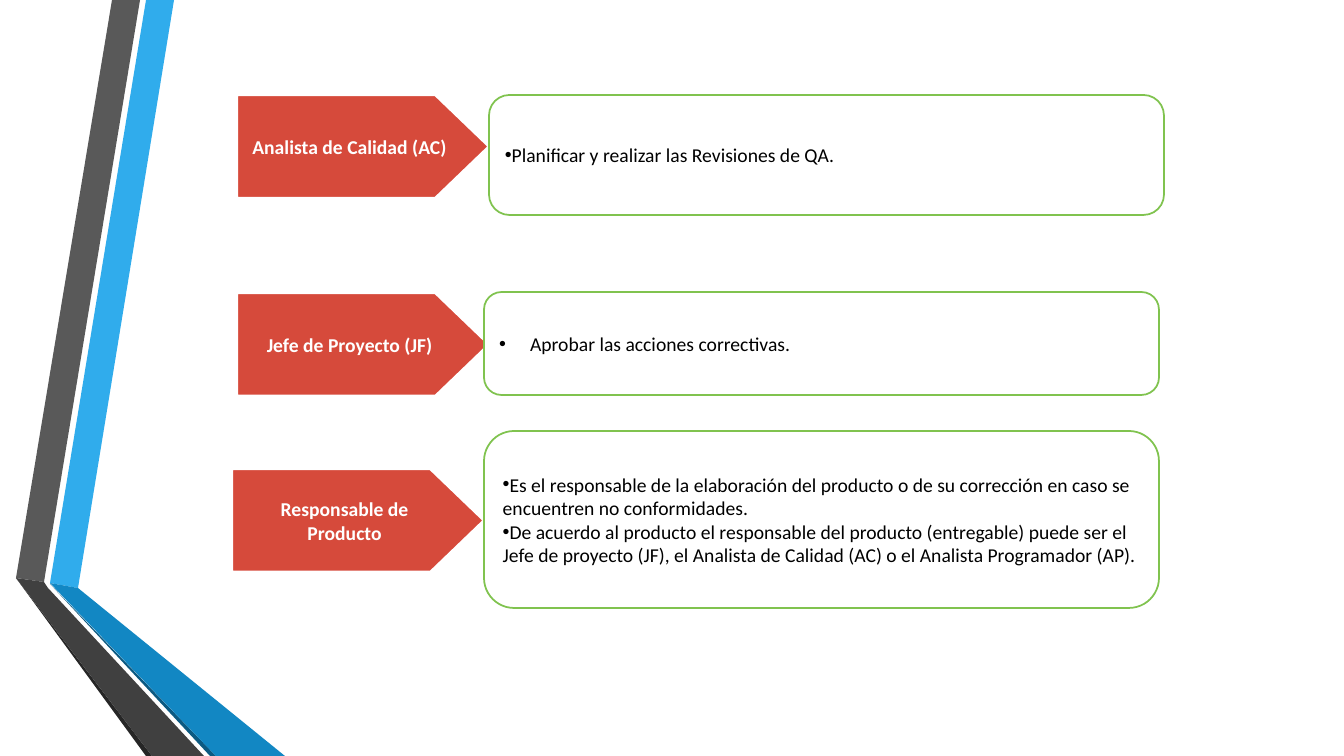
from lxml import etree
from pptx import Presentation
from pptx import util as u
from pptx.dml.color import RGBColor
from pptx.enum import shapes, text
from pptx.oxml.ns import qn

PX = u.Inches(1) / 100.8
WIDTH, HEIGHT = 1344, 756
ARROW_WIDTH, ARROW_HEIGHT, CARD_WIDTH = 252, 103, 675
RED, GREEN, WHITE, BLACK = "D64A3B", "80C34F", "FFFFFF", "000000"

RIBBONS = [
    ("30ACEC", [(50, 583), (78, 588), (174, 0), (146, 0)]),
    ("595959", [(140, 0), (112, 0), (16, 578), (44, 582)]),
    ("262626", [(16, 578), (146, HEIGHT), (152, HEIGHT)]),
    ("0C5A82", [(50, 584), (210, HEIGHT), (216, HEIGHT)]),
    ("1287C3", [(50, 583), (216, HEIGHT), (285, HEIGHT), (78, 588)]),
    ("404040", [(204, HEIGHT), (48, 588), (44, 582), (16, 578), (152, HEIGHT)]),
]

# Role, arrow corner, card corner, card height, bullet indent, duties
ROLES = [
    ("Analista de Calidad (AC)", (237, 95), (489, 95), 120, 0,
     ["Planificar y realizar las Revisiones de QA."]),
    ("Responsable de Producto", (232, 469), (484, 431), 177, 0,
     ["Es el responsable de la elaboración del producto o de su corrección "
      "en caso se encuentren no conformidades.",
      "De acuerdo al producto el responsable del producto (entregable) puede "
      "ser el Jefe de proyecto (JF), el Analista de Calidad (AC) o el "
      "Analista Programador (AP)."]),
    ("Jefe de Proyecto (JF)", (237, 293), (484, 292), 103, 31,
     ["Aprobar las acciones correctivas."]),
]


def px(length):
    return u.Emu(round(length * PX))


def color(value):
    return RGBColor.from_string(value)


def paint(shape, fill):
    shape.shadow.inherit = False
    shape.fill.solid()
    shape.fill.fore_color.rgb = color(fill)


def add_ribbons(page):
    for fill, points in RIBBONS:
        builder = page.shapes.build_freeform(*points[0], scale=PX)
        builder.add_line_segments(points[1:], close=True)
        ribbon = builder.convert_to_shape()
        paint(ribbon, fill)
        ribbon.line.fill.background()


def add_box(page, kind, box, adjustment, fill, border, border_width):
    shape = page.shapes.add_shape(kind, *map(px, box))
    shape.adjustments[0] = adjustment
    paint(shape, fill)
    shape.line.color.rgb = color(border)
    shape.line.width = u.Pt(border_width)
    shape.text_frame.word_wrap = True
    shape.text_frame.vertical_anchor = text.MSO_ANCHOR.MIDDLE
    return shape.text_frame


def write(para, words, font_color, align, bold=False):
    para.alignment = align
    span = para.add_run()
    span.text = words
    span.font.name = "Calibri"
    span.font.size = u.Pt(14)
    span.font.bold = bold
    span.font.color.rgb = color(font_color)


def add_bullet(para, indent):
    properties = para._p.get_or_add_pPr()
    properties.set("marL", str(px(indent)))
    properties.set("indent", str(px(-indent)))
    font = etree.SubElement(properties, qn("a:buFont"))
    font.set("typeface", "Arial")
    bullet = etree.SubElement(properties, qn("a:buChar"))
    bullet.set("char", "•")


def add_role(page, role, arrow_corner, card_corner, card_height, indent, duties):
    # Arrow with the role
    label = add_box(page, shapes.MSO_SHAPE.PENTAGON,
                    (*arrow_corner, ARROW_WIDTH, ARROW_HEIGHT),
                    0.52, RED, WHITE, 1.75)
    write(label.paragraphs[0], role, WHITE, text.PP_ALIGN.CENTER, bold=True)

    # Card with the duties
    card = add_box(page, shapes.MSO_SHAPE.ROUNDED_RECTANGLE,
                   (*card_corner, CARD_WIDTH, card_height),
                   0.17, WHITE, GREEN, 1.25)
    for index, duty in enumerate(duties):
        para = card.add_paragraph() if index else card.paragraphs[0]
        write(para, duty, BLACK, text.PP_ALIGN.LEFT)
        add_bullet(para, indent)


def main():
    deck = Presentation()
    deck.slide_width, deck.slide_height = px(WIDTH), px(HEIGHT)
    page = deck.slides.add_slide(deck.slide_layouts[6])
    add_ribbons(page)
    for role in ROLES:
        add_role(page, *role)
    deck.save("out.pptx")


if __name__ == "__main__":
    main()
